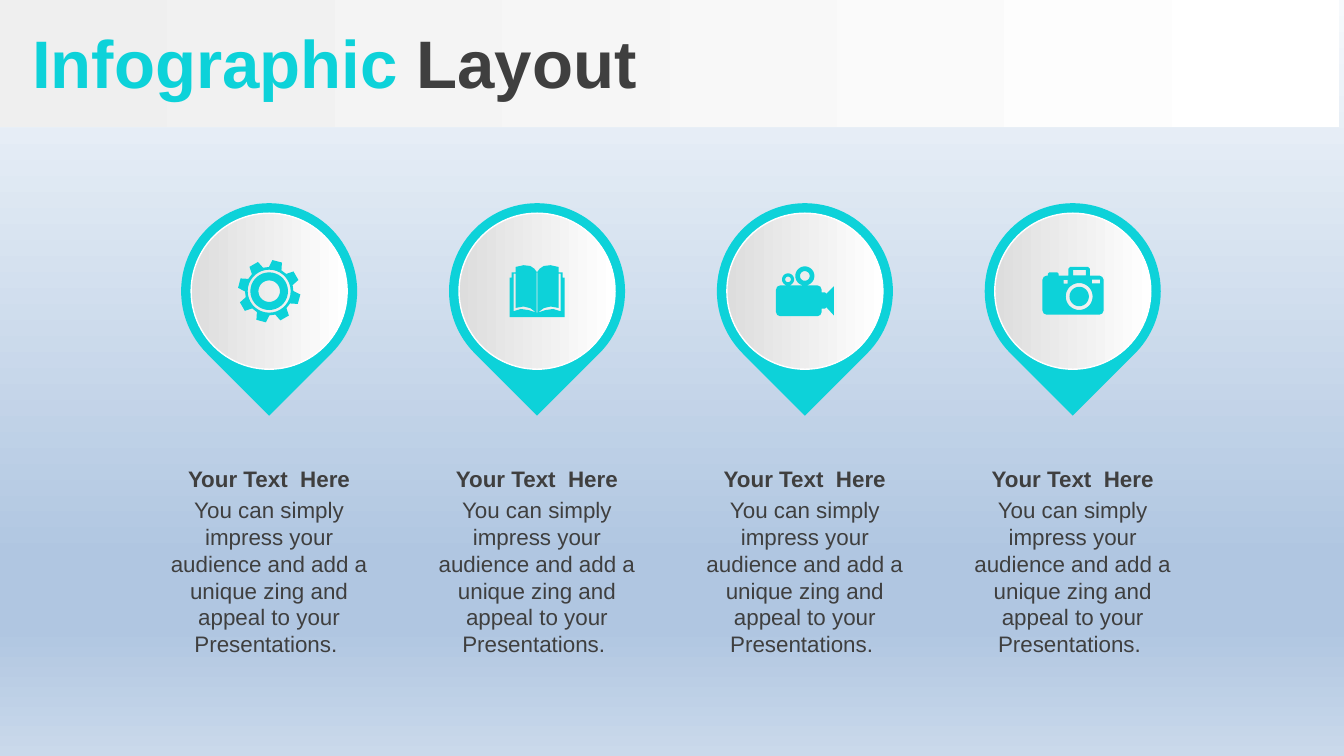
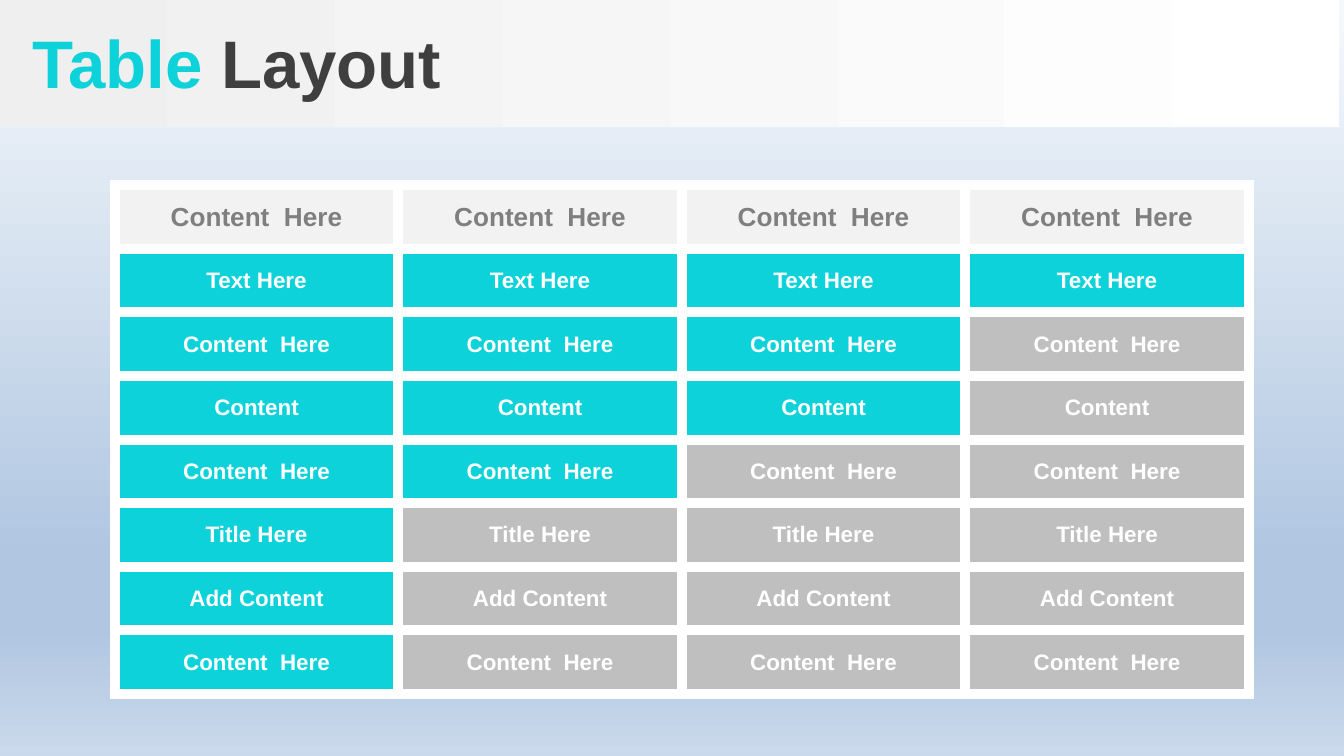
from dataclasses import dataclass
from math import cos, radians, sin

from lxml.etree import SubElement
from pptx import Presentation
from pptx.dml.color import RGBColor
from pptx.enum.shapes import MSO_SHAPE as Shape
from pptx.enum.text import MSO_ANCHOR as Anchor, PP_ALIGN as Align
from pptx.oxml.ns import qn
from pptx.util import Pt

# ---- Content ----
PIN_TITLE = "Your Text  Here"
PIN_TEXT = ("You can simply impress your audience and add a unique zing "
            "and appeal to your Presentations. ")
PIN_ICONS = ["gear", "book", "video", "camera"]

COLUMN_COUNT = 4
TABLE_HEADER = "Content  Here"
TABLE_ROWS = [  # label, number of highlighted cells
    ("Text Here", 4),
    ("Content  Here", 3),
    ("Content", 3),
    ("Content  Here", 2),
    ("Title Here", 1),
    ("Add Content", 1),
    ("Content  Here", 1),
]


# ---- Theme ----
@dataclass(frozen=True)
class Theme:
    font: str = "Arial"
    accent: str = "0DD2D9"
    dark: str = "3F3F3F"
    white: str = "FFFFFF"
    muted: str = "BFBFBF"
    header_fill: str = "F2F2F2"
    header_text: str = "7F7F7F"
    backdrop: tuple = ((0, "F6F9FC"), (74, "B0C6E1"), (83, "B0C6E1"), (100, "CAD9EB"))
    band: tuple = ((0, "EFEFEF"), (100, "FFFFFF"))
    disc: tuple = ((0, "DDDDDD"), (100, "FFFFFF"))
    title_size: int = 36
    header_size: int = 14
    body_size: int = 12


THEME = Theme()
SLIDE_WIDTH, SLIDE_HEIGHT = 720, 405


# ---- Icon outlines, around the pin centre; overlapping contours cut holes ----
ICON_UNIT = 0.72  # points per icon unit


def arc_point(radius, degrees, x=0, y=0):
    return x + radius * cos(radians(degrees)), y + radius * sin(radians(degrees))


def ring(radius, x=0, y=0):
    return [arc_point(radius, degrees, x, y) for degrees in range(0, 360, 10)]


def block(left, top, right, bottom):
    return [(left, top), (right, top), (right, bottom), (left, bottom)]


def mirrored(points):
    return [(-x, y) for x, y in reversed(points)]


def gear():
    corners = [(18, -15.5), (23.3, -9), (23.3, 9), (18, 15.5)]
    teeth = [arc_point(radius, tooth + turn)
             for tooth in range(-75, 285, 45) for radius, turn in corners]
    return [teeth, ring(16), ring(14), ring(8)]


def book():
    half = [(0, -14), (2, -16.7), (5, -18.7), (10, -19.3), (16, -18), (16, -14),
            (19, -14), (19, -10), (20.5, -10), (20.5, 19.3)]
    gap = [(17.5, -13), (16, -13), (16, 12.5), (10, 11.5), (5, 12.7), (0.5, 16),
           (6, 14.2), (12, 13.3), (17.5, 15)]
    return [half + mirrored(half), gap, mirrored(gap), block(-0.3, -14, 0.3, 16)]


def video():
    body = [(-18.5, -4.2), (9.5, -4.2), (11.6, -3.3), (12.5, -1), (12.5, 1), (15, 1),
            (16, 2), (21.5, -3.5), (21.5, 18), (16, 12), (15, 13), (12.5, 13),
            (12.5, 15.5), (11.6, 17.7), (9.5, 18.6), (-18.5, 18.6), (-20.6, 17.7),
            (-21.5, 15.5), (-21.5, -1), (-20.6, -3.3)]
    return [body, ring(7.1, 0, -11.3), ring(3.6, 0, -11.3),
            ring(4.5, -12.5, -8.7), ring(2.1, -12.5, -8.7)]


def camera():
    body = [(-19.5, -11.5), (-18.5, -11.5), (-18.5, -13), (-17.5, -14), (-11.5, -14),
            (-10.5, -13), (-10.5, -11.5), (-3.2, -11.5), (-3.2, -16.7), (-2, -18),
            (11.5, -18), (12.7, -16.7), (12.7, -11.5), (20, -11.5), (22, -10.6),
            (23, -8.5), (23, 14.5), (22, 16.6), (20, 17.5), (-19.5, 17.5),
            (-21.6, 16.6), (-22.5, 14.5), (-22.5, -8.5), (-21.6, -10.6)]
    return [body, block(0.3, -15.8, 9.7, -11.7), block(-6.7, -8.3, -3.7, -5.5),
            block(14.3, -8.5, 20.3, -5.7), ring(10, 4.8, 4), ring(7.2, 4.8, 4)]


ICONS = {"gear": gear, "book": book, "video": video, "camera": camera}


# ---- Helpers ----
def paint_gradient(fill, element, stops, angle=0):
    fill.gradient()
    fill.gradient_angle = angle
    stop_list = next(element.iter(qn("a:gsLst")))
    for old_stop in list(stop_list):
        stop_list.remove(old_stop)
    for position, color in stops:
        stop = SubElement(stop_list, qn("a:gs"), pos=str(position * 1000))
        SubElement(stop, qn("a:srgbClr"), val=color)


def paint_solid(fill, color):
    fill.solid()
    fill.fore_color.rgb = RGBColor.from_string(color)


def write(frame, *runs, size=THEME.body_size, bold=False, align=Align.LEFT):
    """Fill one paragraph with (text, colour) runs."""
    para = frame.paragraphs[0]
    para.alignment = align
    for text, color in runs:
        span = para.add_run()
        span.text = text
        span.font.name = THEME.font
        span.font.size = Pt(size)
        span.font.bold = bold
        span.font.color.rgb = RGBColor.from_string(color)


def add_text(page, left, top, width, height, *runs, inset=7.2, anchor=Anchor.TOP, **style):
    box = page.shapes.add_textbox(Pt(left), Pt(top), Pt(width), Pt(height))
    frame = box.text_frame
    frame.word_wrap = True
    frame.margin_left = Pt(inset)
    frame.vertical_anchor = anchor
    write(frame, *runs, **style)


def add_plain(page, kind, left, top, width, height):
    shape = page.shapes.add_shape(kind, Pt(left), Pt(top), Pt(width), Pt(height))
    shape.shadow.inherit = False
    shape.line.fill.background()
    return shape


def add_page(deck, accent_word, plain_word):
    """Blank page with the shared backdrop, band and two-colour title."""
    page = deck.slides.add_slide(deck.slide_layouts[6])
    paint_gradient(page.background.fill, page.element, THEME.backdrop, angle=270)
    band = add_plain(page, Shape.RECTANGLE, 0, 0, 717.4, 68)
    paint_gradient(band.fill, band.element, THEME.band)
    add_text(page, 0, 2.2, SLIDE_WIDTH, 61.2, (accent_word, THEME.accent),
             (" " + plain_word, THEME.dark), inset=17.2, anchor=Anchor.MIDDLE,
             size=THEME.title_size, bold=True)
    return page


def add_icon(page, contours, center_x, center_y):
    fine = 100  # keeps two decimals of each outline point
    builder = None
    for contour in contours:
        points = [(x * fine, y * fine) for x, y in contour]
        if builder is None:
            builder = page.shapes.build_freeform(*points[0], scale=Pt(ICON_UNIT) / fine)
        else:
            builder.move_to(*points[0])
        builder.add_line_segments(points[1:], close=True)
    icon = builder.convert_to_shape(Pt(center_x), Pt(center_y))
    icon.shadow.inherit = False
    icon.line.fill.background()
    paint_solid(icon.fill, THEME.accent)


def add_pin(page, center_x, center_y, icon_name):
    size, disc_size = 94.3, 83.6
    drop = add_plain(page, Shape.TEAR, center_x - size / 2, center_y - size / 2, size, size)
    drop.rotation = 135
    paint_solid(drop.fill, THEME.accent)
    disc = add_plain(page, Shape.OVAL, center_x - disc_size / 2, center_y - disc_size / 2,
                     disc_size, disc_size)
    paint_gradient(disc.fill, disc.element, THEME.disc)
    paint_solid(disc.line.fill, THEME.white)
    disc.line.width = Pt(0.75)
    add_icon(page, ICONS[icon_name](), center_x, center_y)


def add_borders(cell, color, width):
    properties = cell._tc.get_or_add_tcPr()
    for side in ("a:lnL", "a:lnR", "a:lnT", "a:lnB"):
        line = SubElement(properties, qn(side), w=str(Pt(width)))
        SubElement(SubElement(line, qn("a:solidFill")), qn("a:srgbClr"), val=color)


def fill_cell(cell, text, fill, color, size):
    add_borders(cell, THEME.white, 6)
    paint_solid(cell.fill, fill)
    cell.vertical_anchor = Anchor.MIDDLE
    write(cell.text_frame, (text, color), size=size, bold=True, align=Align.CENTER)


# ---- Slides ----
def build_infographic(deck):
    page = add_page(deck, "Infographic", "Layout")
    first_x, pitch, center_y, text_width = 144.2, 143.5, 156, 122.4
    for index, icon_name in enumerate(PIN_ICONS):
        center_x = first_x + index * pitch
        left = center_x - text_width / 2
        add_pin(page, center_x, center_y, icon_name)
        add_text(page, left, 262.2, text_width, 94.3, (PIN_TEXT, THEME.dark),
                 align=Align.CENTER)
        add_text(page, left, 245.5, text_width, 21.6, (PIN_TITLE, THEME.dark),
                 bold=True, align=Align.CENTER)


def build_table(deck):
    page = add_page(deck, "Table", "Layout")
    column_width, row_height = 151.9, 34.1
    row_count = len(TABLE_ROWS) + 1
    table = page.shapes.add_table(row_count, COLUMN_COUNT, Pt(61.5), Pt(99.2),
                                  Pt(column_width * COLUMN_COUNT),
                                  Pt(row_height * row_count)).table
    table.first_row = table.horz_banding = False
    for column in table.columns:
        column.width = Pt(column_width)
    for row in table.rows:
        row.height = Pt(row_height)
    for column in range(COLUMN_COUNT):
        fill_cell(table.cell(0, column), TABLE_HEADER, THEME.header_fill,
                  THEME.header_text, THEME.header_size)
        for row, (label, highlighted) in enumerate(TABLE_ROWS, start=1):
            fill = THEME.accent if column < highlighted else THEME.muted
            fill_cell(table.cell(row, column), label, fill, THEME.white, THEME.body_size)


def main():
    deck = Presentation()
    deck.slide_width, deck.slide_height = Pt(SLIDE_WIDTH), Pt(SLIDE_HEIGHT)
    build_infographic(deck)
    build_table(deck)
    deck.save("out.pptx")


if __name__ == "__main__":
    main()
